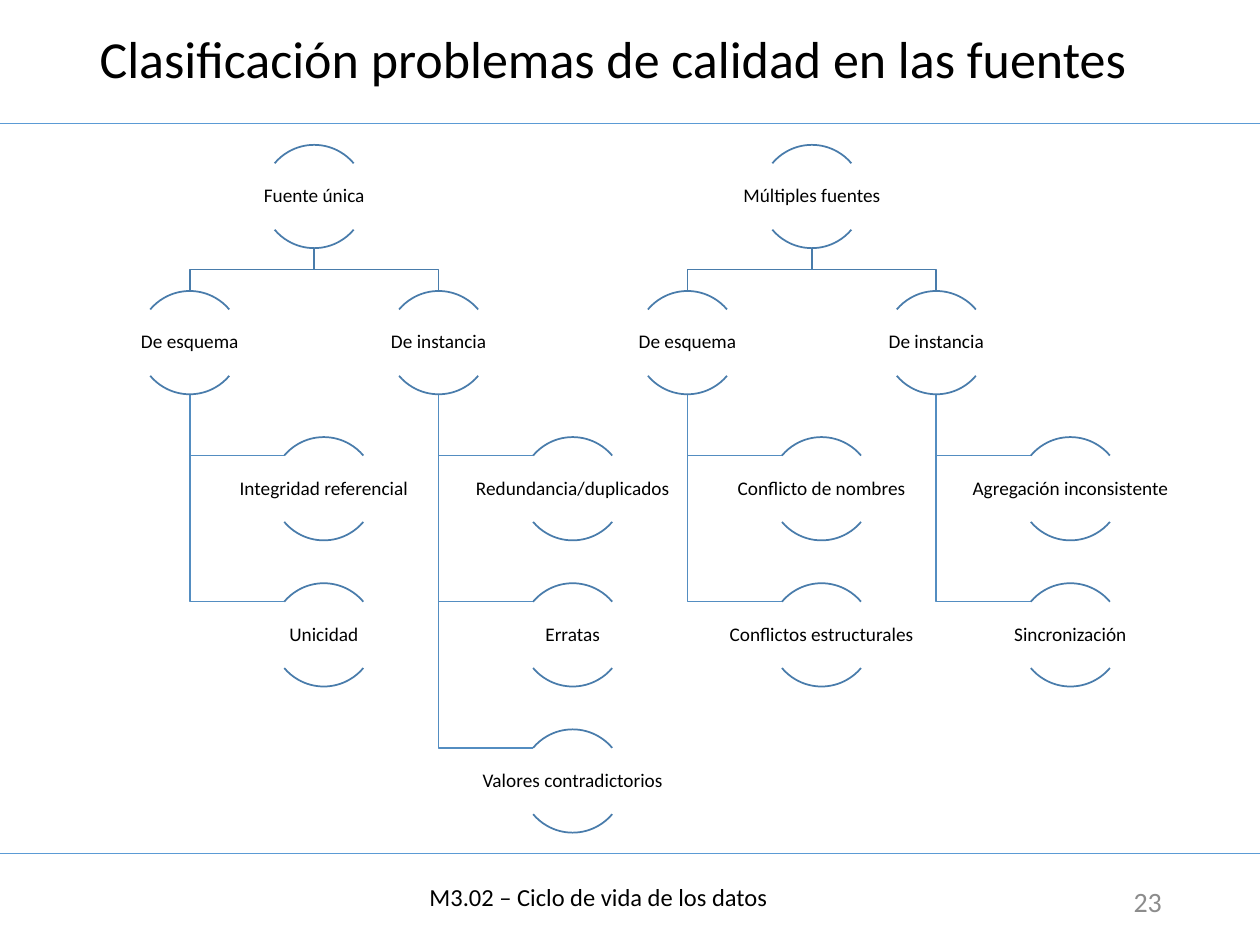
from lxml import etree
from pptx import Presentation
from pptx.dml.color import RGBColor
from pptx.enum import shapes, text
from pptx.oxml import ns
from pptx.util import Pt

BLACK = RGBColor(0, 0, 0)
GRAY = RGBColor(0x8C, 0x8C, 0x8C)
RULE = RGBColor(0x5B, 0x9B, 0xD5)
ARC = RGBColor(0x49, 0x7C, 0xAB)
LINK = RGBColor(0x53, 0x8D, 0xC1)
FONT = "Calibri"

DIAM = 59
RISE = 83.5
STEP = 142.2
WIDE, HIGH = 117.5, 37.5
SHIFT = 76.6
EDGE_X, EDGE_Y = 6.9, 10.5
TOPS, LOWS = (132, 192), (24, 84)

TREES = [
    ("Fuente única", [
        ("De esquema", ["Integridad referencial", "Unicidad"]),
        ("De instancia", ["Redundancia/duplicados", "Erratas", "Valores contradictorios"]),
    ]),
    ("Múltiples fuentes", [
        ("De esquema", ["Conflicto de nombres", "Conflictos estructurales"]),
        ("De instancia", ["Agregación inconsistente", "Sincronización"]),
    ]),
]


def write(frame, words, size, color, align, anchor, space=None):
    frame.word_wrap = True
    frame.auto_size = text.MSO_AUTO_SIZE.NONE
    frame.vertical_anchor = anchor
    para = frame.paragraphs[0]
    para.alignment = align
    if space:
        para.line_spacing = space
    run = para.add_run()
    run.text = words
    run.font.name = FONT
    run.font.size = Pt(size)
    run.font.color.rgb = color


def label(slide, box, words, size, color, align, anchor, inset=None, space=None):
    frame = slide.shapes.add_textbox(*map(Pt, box)).text_frame
    if inset is not None:
        frame.margin_left = frame.margin_right = Pt(inset)
        frame.margin_top = frame.margin_bottom = Pt(inset)
    write(frame, words, size, color, align, anchor, space)


def title(slide, box, words):
    head = slide.shapes.title
    head.left, head.top, head.width, head.height = map(Pt, box)
    write(head.text_frame, words, 29.7, BLACK, text.PP_ALIGN.LEFT,
          text.MSO_ANCHOR.MIDDLE, 0.9)


def rule(slide, y):
    line = slide.shapes.add_connector(
        shapes.MSO_CONNECTOR.STRAIGHT, 0, Pt(y), Pt(720), Pt(y))
    line.line.color.rgb = RULE
    line.line.width = Pt(0.5)
    etree.SubElement(line._element.spPr, ns.qn("a:effectLst"))


def elbow(slide, points, color):
    first, *rest = [(Pt(x), Pt(y)) for x, y in points]
    pen = slide.shapes.build_freeform(*first)
    pen.add_line_segments(rest, close=False)
    path = pen.convert_to_shape()
    path.fill.background()
    path.line.color.rgb = color
    path.line.width = Pt(1)
    path.shadow.inherit = False


def node(slide, mid, top, words):
    for ends in (TOPS, LOWS):
        arc = slide.shapes.add_shape(
            shapes.MSO_SHAPE.ARC, Pt(mid - DIAM / 2), Pt(top), Pt(DIAM), Pt(DIAM))
        arc.adjustments[0], arc.adjustments[1] = ends
        arc.fill.background()
        arc.line.color.rgb = ARC
        arc.line.width = Pt(1)
        arc.shadow.inherit = False
    box = (mid - WIDE / 2, top + (DIAM - HIGH) / 2, WIDE, HIGH)
    label(slide, box, words, 11, BLACK, text.PP_ALIGN.CENTER,
          text.MSO_ANCHOR.MIDDLE, 0.7, 0.9)


def branch(slide, mid, top, words, leaves):
    end = mid + SHIFT - DIAM / 2 + EDGE_X
    for i in range(len(leaves), 0, -1):
        low = top + i * RISE + EDGE_Y
        elbow(slide, [(mid, top + DIAM), (mid, low), (end, low)], LINK)
    node(slide, mid, top, words)
    for i, leaf in enumerate(leaves, 1):
        node(slide, mid + SHIFT, top + i * RISE, leaf)


def tree(slide, left, top, words, kids):
    first = left + WIDE / 2
    root = first + STEP * (len(kids) - 1) / 2
    base, next_top = top + DIAM, top + RISE
    bend = (base + next_top) / 2
    for i, (name, leaves) in enumerate(kids):
        mid = first + i * STEP
        elbow(slide, [(root, base), (root, bend), (mid, bend), (mid, next_top)], ARC)
        branch(slide, mid, next_top, name, leaves)
    node(slide, root, top, words)


def footer(slide, top):
    label(slide, (626.4, top, 44.6, 28.8), "23", 16, GRAY,
          text.PP_ALIGN.RIGHT, text.MSO_ANCHOR.MIDDLE)
    label(slide, (238.3, top, 365, 39.6), "M3.02 – Ciclo de vida de los datos",
          14, BLACK, text.PP_ALIGN.LEFT, text.MSO_ANCHOR.TOP)


def main():
    deck = Presentation()
    deck.slide_width, deck.slide_height = Pt(720), Pt(540)
    slide = deck.slides.add_slide(deck.slide_layouts[5])
    for y in (487.5, 70.6):
        rule(slide, y)
    title(slide, (49.7, 3.6, 620.6, 63.4),
          "Clasificación problemas de calidad en las fuentes")
    for i, (words, kids) in enumerate(TREES):
        tree(slide, 49.7 + i * 2 * STEP, 82.8, words, kids)
    footer(slide, 500.4)
    deck.save("out.pptx")


if __name__ == "__main__":
    main()
